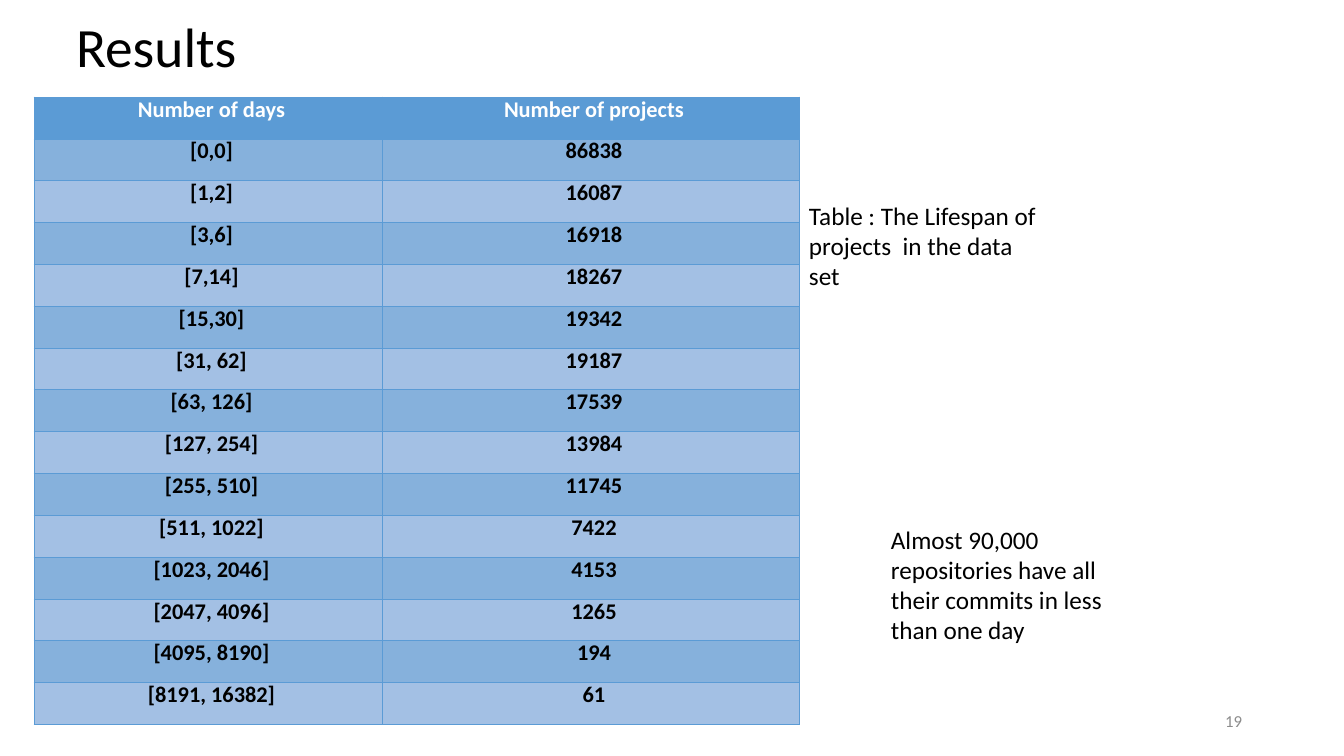
from dataclasses import dataclass

from lxml import etree
from pptx import Presentation
from pptx.dml.color import RGBColor
from pptx.enum.text import MSO_ANCHOR, PP_ALIGN
from pptx.oxml.ns import qn
from pptx.slide import Slide
from pptx.table import _Cell
from pptx.text.text import TextFrame
from pptx.util import Emu, Pt

LEFT, CENTER, RIGHT = PP_ALIGN.LEFT, PP_ALIGN.CENTER, PP_ALIGN.RIGHT
TOP, MIDDLE = MSO_ANCHOR.TOP, MSO_ANCHOR.MIDDLE

FONT = "Calibri"
BLACK = RGBColor(0x00, 0x00, 0x00)
WHITE = RGBColor(0xFF, 0xFF, 0xFF)
GREY = RGBColor(0x8C, 0x8C, 0x8C)
BLUE = RGBColor(0x5B, 0x9B, 0xD5)
DARK_BAND = RGBColor(0x86, 0xB1, 0xDC)
LIGHT_BAND = RGBColor(0xA3, 0xC0, 0xE4)

EMU_PER_PX = 914400 / 100.8
SLIDE_SIZE = (1344, 756)
TABLE_LEFT, TABLE_TOP, TABLE_HEIGHT = 34, 97, 628
COLUMN_WIDTHS = (348, 417)

HEADER = ("Number of days", "Number of projects")
LIFESPANS = (
    ("[0,0]", 86838),
    ("[1,2]", 16087),
    ("[3,6]", 16918),
    ("[7,14]", 18267),
    ("[15,30]", 19342),
    ("[31, 62]", 19187),
    ("[63, 126]", 17539),
    ("[127, 254]", 13984),
    ("[255, 510]", 11745),
    ("[511, 1022]", 7422),
    ("[1023, 2046]", 4153),
    ("[2047, 4096]", 1265),
    ("[4095, 8190]", 194),
    ("[8191, 16382]", 61),
)


@dataclass(frozen=True)
class Note:
    text: str
    left: int
    top: int
    width: int
    height: int
    size: int = 18
    color: RGBColor = BLACK
    align: PP_ALIGN = LEFT
    anchor: MSO_ANCHOR = TOP


NOTES = (
    Note("Table : The Lifespan of projects  in the data set", 799, 195, 256, 102),
    Note("Almost 90,000 repositories have all their commits in less than one day",
         881, 519, 256, 132),
    Note("19", 950, 701, 302, 40, 12, GREY, RIGHT, MIDDLE),
)


def px(length: int) -> Emu:
    return Emu(round(length * EMU_PER_PX))


def write(frame: TextFrame, text: str, size: float, color: RGBColor,
          align: PP_ALIGN, bold: bool = False) -> None:
    frame.text = text
    para = frame.paragraphs[0]
    para.alignment = align
    font = para.runs[0].font
    font.name, font.size, font.bold = FONT, Pt(size), bold
    font.color.rgb = color


def add_title(slide: Slide, text: str) -> None:
    title = slide.shapes.title
    title.left, title.top, title.width, title.height = map(px, (66, 22, 1159, 56))
    write(title.text_frame, text, 39.6, BLACK, LEFT)
    title.text_frame.vertical_anchor = MIDDLE
    title.text_frame.paragraphs[0].line_spacing = 0.9


def add_note(slide: Slide, note: Note) -> None:
    box = slide.shapes.add_textbox(
        *map(px, (note.left, note.top, note.width, note.height)))
    frame = box.text_frame
    frame.word_wrap = True
    frame.vertical_anchor = note.anchor
    write(frame, note.text, note.size, note.color, note.align)


def add_borders(cell: _Cell) -> None:
    """Rule all four sides; borders must precede the fill in the cell XML."""
    properties = cell._tc.get_or_add_tcPr()
    for position, side in enumerate(("lnL", "lnR", "lnT", "lnB")):
        line = etree.Element(qn(f"a:{side}"), w=str(Pt(0.5)))
        fill = etree.SubElement(line, qn("a:solidFill"))
        etree.SubElement(fill, qn("a:srgbClr"), val=str(BLUE))
        properties.insert(position, line)


def format_cell(cell: _Cell, text: str, fill: RGBColor, color: RGBColor) -> None:
    cell.margin_left, cell.margin_top = px(7), px(13)
    cell.margin_right = cell.margin_bottom = 0
    cell.vertical_anchor = TOP
    write(cell.text_frame, text, 16, color, CENTER, bold=True)
    cell.text_frame.paragraphs[0].line_spacing = Pt(9.4)
    cell.fill.solid()
    cell.fill.fore_color.rgb = fill
    add_borders(cell)


def add_lifespan_table(slide: Slide) -> None:
    rows = (HEADER, *LIFESPANS)
    table = slide.shapes.add_table(
        len(rows), len(HEADER), px(TABLE_LEFT), px(TABLE_TOP),
        px(sum(COLUMN_WIDTHS)), px(TABLE_HEIGHT)).table
    table.horz_banding = False
    for column, width in zip(table.columns, COLUMN_WIDTHS):
        column.width = px(width)
    for index, values in enumerate(rows):
        if index == 0:
            fill, color = BLUE, WHITE
        else:
            fill, color = (DARK_BAND if index % 2 else LIGHT_BAND), BLACK
        for cell, value in zip(table.rows[index].cells, values):
            format_cell(cell, str(value), fill, color)


def main() -> None:
    deck = Presentation()
    deck.slide_width, deck.slide_height = map(px, SLIDE_SIZE)
    title_only = deck.slide_layouts.get_by_name("Title Only")
    slide = deck.slides.add_slide(title_only)
    add_title(slide, "Results")
    add_lifespan_table(slide)
    for note in NOTES:
        add_note(slide, note)
    deck.save("out.pptx")


if __name__ == "__main__":
    main()
